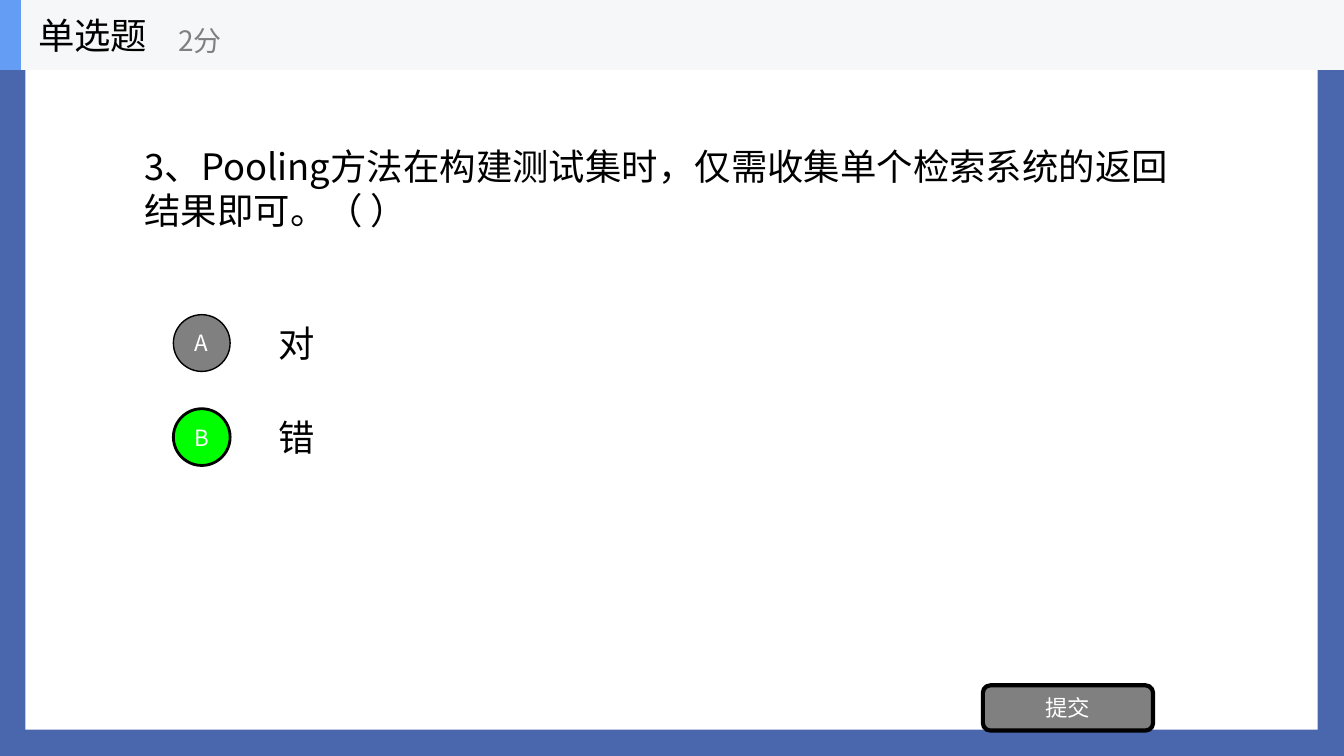
import pptx
import pptx.util
import pptx.dml.color
import pptx.enum.shapes
import pptx.enum.text
import pptx.oxml.ns
import lxml.etree

Cm = pptx.util.Cm
Kind = pptx.enum.shapes.MSO_SHAPE
Text = pptx.enum.text
FACE = "Noto Sans CJK SC"


def tint(code):
    """Turn a hex string into a colour."""
    return pptx.dml.color.RGBColor.from_string(code)


def write(shape, words, size, color, wrap=True, align=Text.PP_ALIGN.LEFT):
    """Put one styled line of words into a shape, centred vertically."""
    frame = shape.text_frame
    form = {"word_wrap": wrap, "vertical_anchor": Text.MSO_ANCHOR.MIDDLE}
    for key, value in form.items():
        setattr(frame, key, value)
    para = frame.paragraphs[0]
    para.alignment = align
    run = para.add_run()
    run.text = words
    for key, value in {"size": pptx.util.Pt(size), "name": FACE}.items():
        setattr(run.font, key, value)
    run.font.color.rgb = tint(color)
    east = lxml.etree.SubElement(run.font._element, pptx.oxml.ns.qn("a:ea"))
    east.set("typeface", FACE)


def label(slide, box, words, size, color="000000", wrap=True):
    """Add a text box."""
    shape = slide.shapes.add_textbox(*map(Cm, box))
    write(shape, words, size, color, wrap)


def block(slide, kind, box, fill, width=0, words=""):
    """Add a filled shape with an optional black outline and caption."""
    shape = slide.shapes.add_shape(kind, *map(Cm, box))
    shape.shadow.inherit = False
    shape.fill.solid()
    shape.fill.fore_color.rgb = tint(fill)
    if width:
        shape.line.color.rgb = tint("000000")
        shape.line.width = pptx.util.Pt(width)
    else:
        shape.line.fill.background()
    if words:
        for side in ("left", "right", "top", "bottom"):
            setattr(shape.text_frame, "margin_" + side, 0)
        write(shape, words, 16, "FFFFFF", align=Text.PP_ALIGN.CENTER)


def header(slide, box, title, score):
    """Draw the top bar with the question type and its score."""
    left, top, width, height = box
    block(slide, Kind.RECTANGLE, box, "F6F7F8")
    block(slide, Kind.RECTANGLE, (left, top, 0.53, height), "639EF4")
    label(slide, (left + 0.71, top, 5.28, height), title, 26, wrap=False)
    label(slide, (left + 4.24, top + 0.3, 6.35, 1.43), score, 20, "808080", False)


def choices(slide, box, items):
    """Stack the lettered answers with equal gaps."""
    left, top, width, step = box
    for row, (mark, words, fill, line) in enumerate(items):
        level = top + row * step
        label(slide, (left + 2.41, level, width - 2.41, 1.78), words, 26)
        disc = (left, level + 0.18, 1.43, 1.43)
        block(slide, Kind.OVAL, disc, fill, line, mark)


def quiz(slide, box):
    """Lay out the whole question slide."""
    left, top, width, height = box
    slide.background.fill.solid()
    slide.background.fill.fore_color.rgb = tint("4A66AC")
    panel = (left + 0.64, top + 0.69, width - 1.3, height - 1.35)
    block(slide, Kind.RECTANGLE, panel, "FFFFFF")
    label(slide, (left + 3.39, top + 1.76, 27.09, 5.94),
          "3、Pooling方法在构建测试集时，仅需收集单个检索系统的返回结果即可。（ ）", 26)
    choices(slide, (left + 4.37, top + 7.75, 26.11, 2.37),
            [("A", "对", "808080", 1), ("B", "错", "00FF00", 2)])
    button = (left + 24.77, top + 17.27, 4.29, 1.14)
    block(slide, Kind.ROUNDED_RECTANGLE, button, "808080", 3, "提交")
    header(slide, (left, top, width, 1.76), "单选题", "2分")


def main():
    """Build and save the deck."""
    deck = pptx.Presentation()
    size = {"slide_width": Cm(33.87), "slide_height": Cm(19.05)}
    for key, value in size.items():
        setattr(deck, key, value)
    slide = deck.slides.add_slide(deck.slide_layouts[6])
    quiz(slide, (0, 0, 33.87, 19.05))
    deck.save("out.pptx")


if __name__ == "__main__":
    main()
